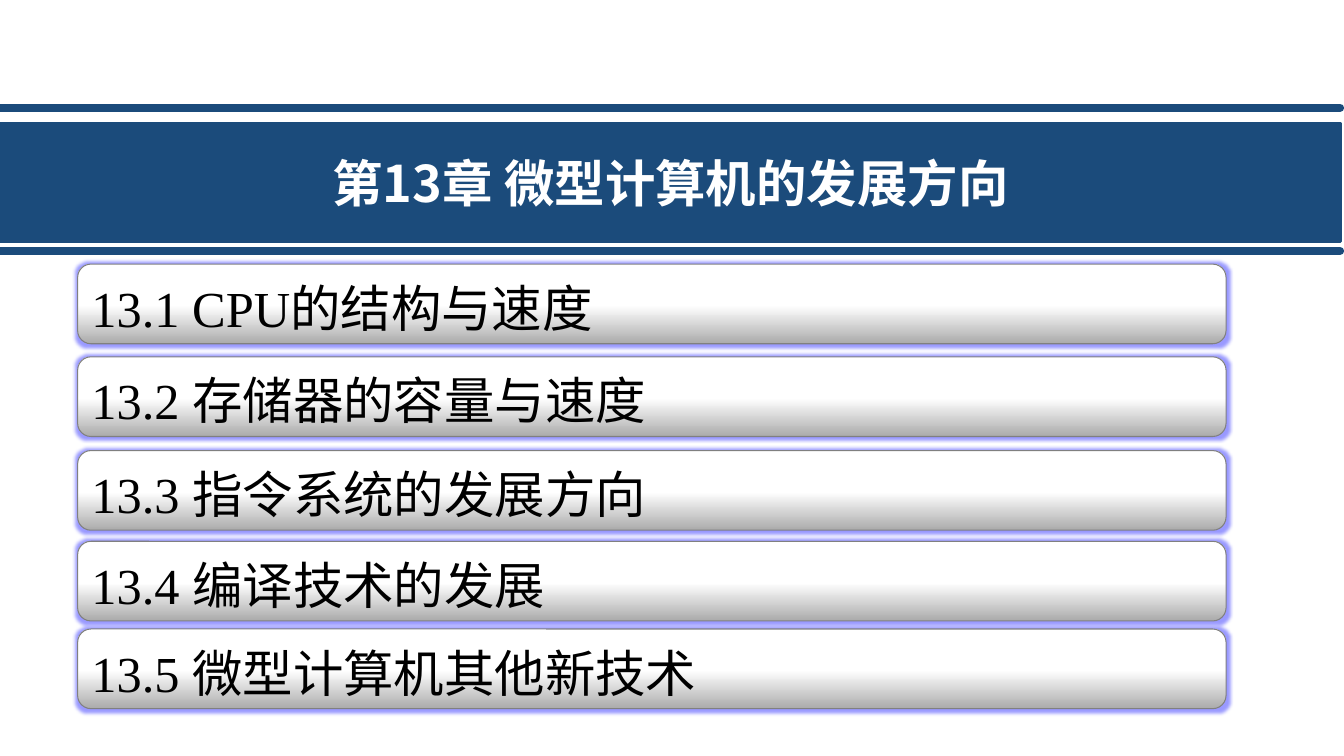
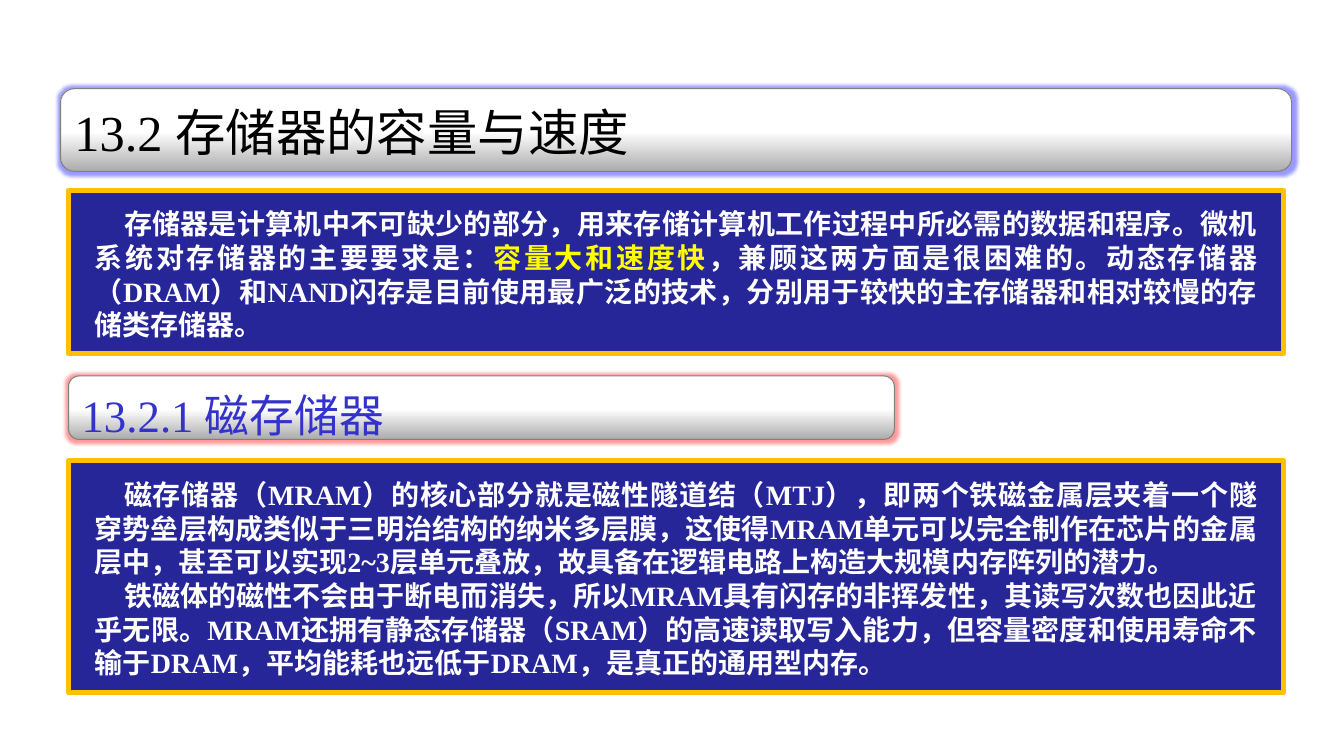
import pptx
import pptx.util
import pptx.oxml
import pptx.oxml.ns
import pptx.dml.color
import pptx.enum.shapes
import pptx.enum.text
from lxml import etree

PX = 9144  # EMU per px, 100 px to the inch
SHAPE = pptx.enum.shapes.MSO_SHAPE
ALIGN = pptx.enum.text.PP_ALIGN
ANCHOR = pptx.enum.text.MSO_ANCHOR
qn = pptx.oxml.ns.qn

THEME = {
    "band": "1B4B7B", "panel": "262699", "frame": "FFC000",
    "light": "FFFFFF", "dark": "000000", "mark": "FFFF00", "sub": "3333CC",
    "shade": "ABABAB", "edge": "808080", "blue": "0000FF", "red": "FF0000",
    "sans": "Noto Sans CJK SC", "serif": "Times New Roman",
    "head": 36, "subhead": 32, "body": 20, "lead": 1.2,
}

# Content
TITLE = "第13章 微型计算机的发展方向"
RULES = (249, 107)
MENU = [
    (262, "13.1 CPU的结构与速度"),
    (354, "13.2 存储器的容量与速度"),
    (447, "13.3 指令系统的发展方向"),
    (537, "13.4 编译技术的发展"),
    (624, "13.5 微型计算机其他新技术"),
]
# Each paragraph is a list of (text, colour) runs
NEEDS = [[
    ("存储器是计算机中不可缺少的部分，用来存储计算机工作过程中所必需的数据和程序。"
     "微机系统对存储器的主要要求是：", "light"),
    ("容量大和速度快", "mark"),
    ("，兼顾这两方面是很困难的。动态存储器（DRAM）和NAND闪存是目前使用最广泛的技术，"
     "分别用于较快的主存储器和相对较慢的存储类存储器。", "light"),
]]
MRAM = [
    [("磁存储器（MRAM）的核心部分就是磁性隧道结（MTJ），即两个铁磁金属层夹着一个隧穿势垒层"
      "构成类似于三明治结构的纳米多层膜，这使得MRAM单元可以完全制作在芯片的金属层中，"
      "甚至可以实现2~3层单元叠放，故具备在逻辑电路上构造大规模内存阵列的潜力。", "light")],
    [("铁磁体的磁性不会由于断电而消失，所以MRAM具有闪存的非挥发性，其读写次数也因此近乎无限。"
      "MRAM还拥有静态存储器（SRAM）的高速读取写入能力，但容量密度和使用寿命不输于DRAM，"
      "平均能耗也远低于DRAM，是真正的通用型内存。", "light")],
]


def rgb(name):
    return pptx.dml.color.RGBColor.from_string(THEME[name])


def apply(item, values):
    for key, value in values.items():
        setattr(item, key, value)


def stroke(line, color, width):
    line.color.rgb = rgb(color)
    line.width = pptx.util.Pt(width)


def block(slide, kind, box, edge, width):
    shape = slide.shapes.add_shape(kind, *[n * PX for n in box])
    shape.shadow.inherit = False
    stroke(shape.line, edge, width)
    return shape


def solid(shape, color):
    shape.fill.solid()
    shape.fill.fore_color.rgb = rgb(color)


def write(shape, paras, size, face="serif", bold=False, align=ALIGN.LEFT,
          anchor=ANCHOR.MIDDLE, pads=(10, 5, 10, 5), indent=0, lead=None):
    frame = shape.text_frame
    sides = ("margin_left", "margin_top", "margin_right", "margin_bottom")
    apply(frame, {"word_wrap": True, "vertical_anchor": anchor,
                  **{side: n * PX for side, n in zip(sides, pads)}})
    for i, runs in enumerate(paras):
        para = frame.add_paragraph() if i else frame.paragraphs[0]
        para.alignment = align
        if lead:
            para.line_spacing = pptx.util.Pt(round(THEME[size] * lead))
        if indent:
            para._p.get_or_add_pPr().set("indent", str(indent * PX))
        for text, color in runs:
            run = para.add_run()
            run.text = text
            apply(run.font, {"size": pptx.util.Pt(THEME[size]), "bold": bold,
                             "name": THEME[face]})
            run.font.color.rgb = rgb(color)
            east = etree.SubElement(run._r.get_or_add_rPr(), qn("a:ea"))
            east.set("typeface", THEME["sans"])


def glow(shape, color):
    effects = shape._element.spPr.find(qn("a:effectLst"))
    halo = etree.SubElement(effects, qn("a:glow"), rad="63500")
    tint = etree.SubElement(halo, qn("a:srgbClr"), val=THEME[color])
    etree.SubElement(tint, qn("a:alpha"), val="40000")


def card(slide, box, text, size="head", color="dark", halo="blue"):
    shape = block(slide, SHAPE.ROUNDED_RECTANGLE, box, "edge", 0.75)
    shape.fill.gradient()
    shape.fill.gradient_angle = 90
    stops = ((0, "shade"), (0.48, "light"))
    for stop, (place, tone) in zip(shape.fill.gradient_stops, stops):
        stop.position = place
        stop.color.rgb = rgb(tone)
    glow(shape, halo)
    write(shape, [[(text, color)]], size, anchor=ANCHOR.TOP,
          pads=(10, 9, 10, 0), lead=THEME["lead"])


def panel(slide, top, height, paras):
    shape = block(slide, SHAPE.RECTANGLE, (68, top, 1205, height), "frame", 3.75)
    solid(shape, "panel")
    write(shape, paras, "body", bold=True, align=ALIGN.JUSTIFY,
          pads=(26, 16, 26, 12), indent=29, lead=THEME["lead"])


def rule(slide, y):
    kind = pptx.enum.shapes.MSO_CONNECTOR.STRAIGHT
    line = slide.shapes.add_connector(kind, 0, y * PX, 1329 * PX, y * PX)
    stroke(line.line, "band", 6)
    props = line._element.spPr
    props.find(qn("a:ln")).set("cap", "rnd")
    etree.SubElement(props, qn("a:effectLst"))


def cover(slide):
    band = block(slide, SHAPE.RECTANGLE, (0, 122, 1330, 118), "band", 2)
    solid(band, "band")
    write(band, [[(TITLE, "light")]], "head", "sans", True, ALIGN.CENTER)
    for y in RULES:
        rule(slide, y)
    for top, text in MENU:
        card(slide, (77, top, 1139, 79), text)


def memory(slide):
    card(slide, (60, 88, 1221, 82), MENU[1][1])
    panel(slide, 189, 162, NEEDS)
    card(slide, (68, 373, 819, 63), "13.2.1 磁存储器", "subhead", "sub", "red")
    panel(slide, 457, 230, MRAM)


def main():
    deck = pptx.Presentation()
    apply(deck, {"slide_width": 1333 * PX, "slide_height": 750 * PX})
    for build in (cover, memory):
        build(deck.slides.add_slide(deck.slide_layouts[6]))
    deck.save("out.pptx")


if __name__ == "__main__":
    main()
